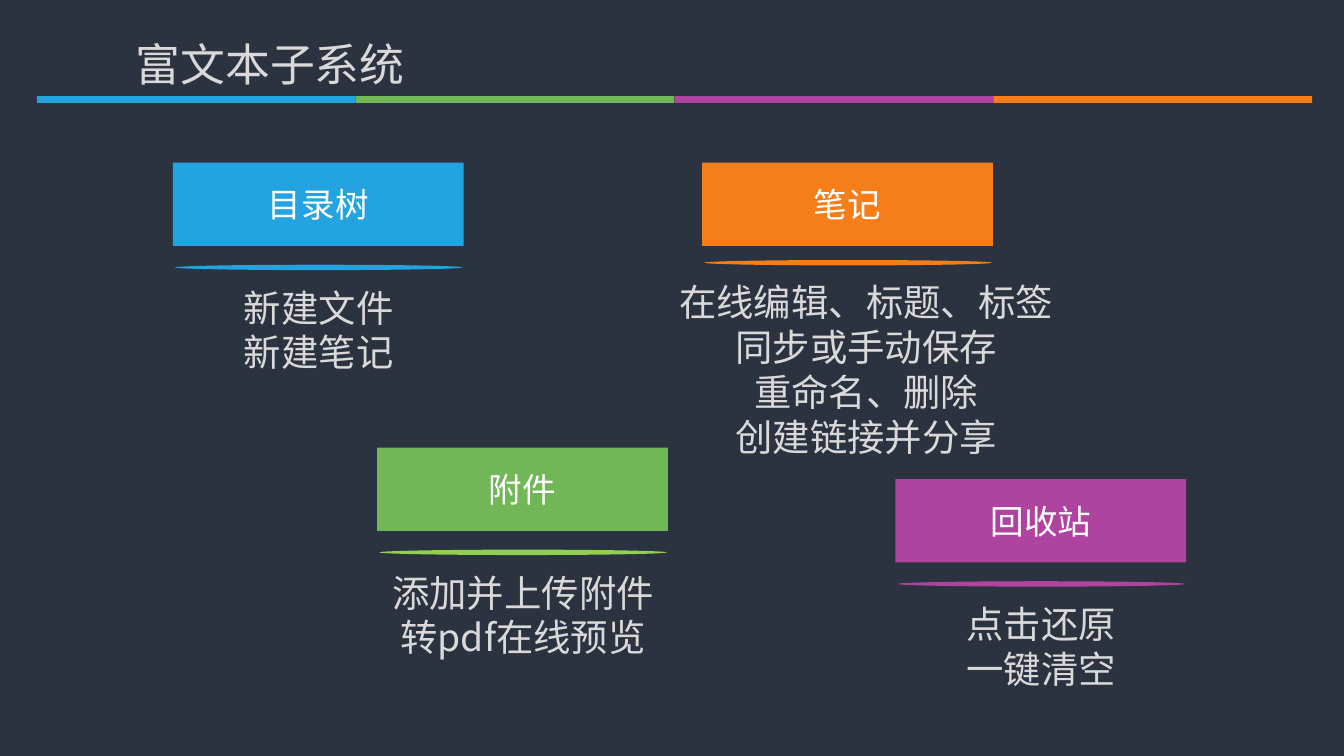
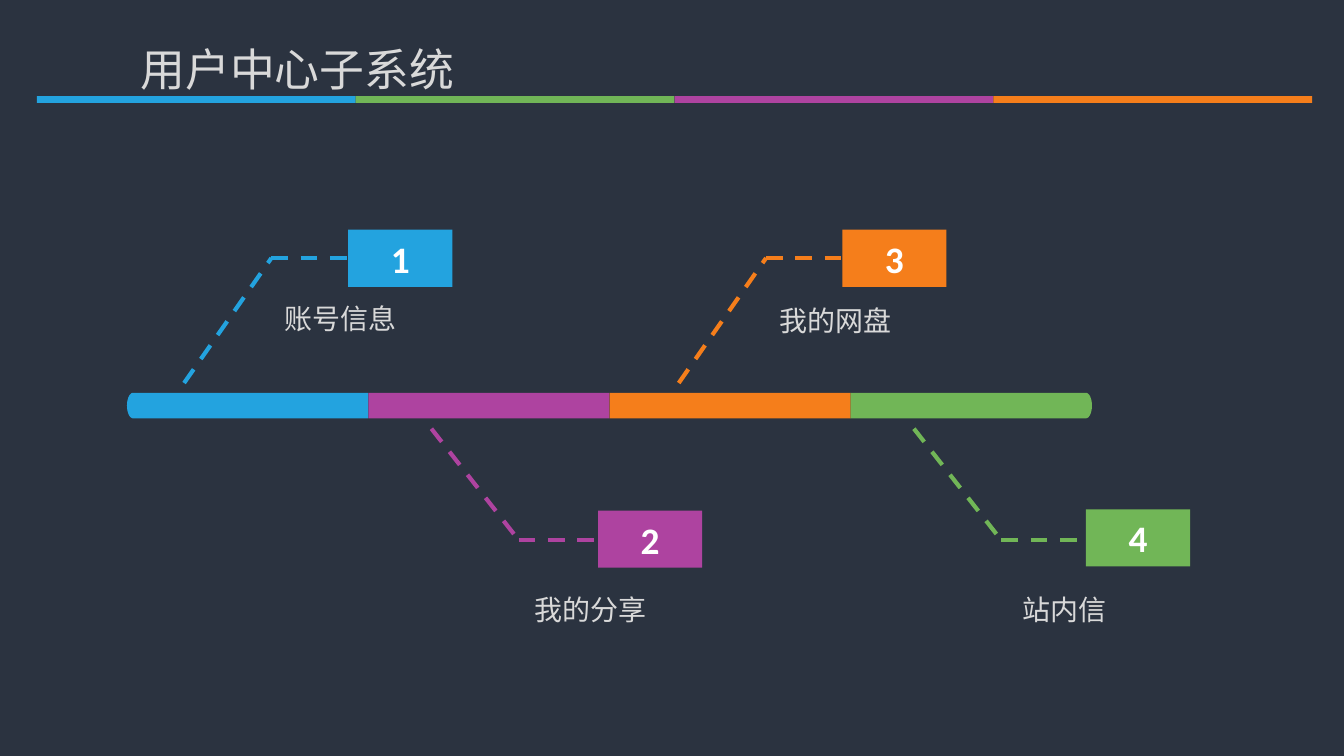
"""Build two slides on the rich text and user centre subsystems."""
import dataclasses
import math

import pptx
import pptx.dml.color
import pptx.enum.dml
import pptx.enum.shapes
import pptx.enum.text
import pptx.oxml.ns
import pptx.util
from lxml import etree

SHAPE = pptx.enum.shapes.MSO_SHAPE
ALIGN = pptx.enum.text.PP_ALIGN
ANCHOR = pptx.enum.text.MSO_ANCHOR
rgb = pptx.dml.color.RGBColor.from_string


@dataclasses.dataclass(frozen=True)
class Theme:
    """Colours, fonts and type sizes of both slides."""
    ground = rgb("2B3340")
    blue = rgb("23A3DF")
    green = rgb("71B657")
    purple = rgb("AE43A0")
    orange = rgb("F57E1B")
    lime = rgb("92D050")
    pale = rgb("D9D9D9")
    white = rgb("FFFFFF")
    cjk = "Noto Sans CJK SC"
    title_font = "Arial"
    number_font = "Calibri"
    title_size = 24
    detail_size = 20
    heading_size = 18
    label_size = 15


theme = Theme()
deck = pptx.Presentation()
deck.slide_width = pptx.util.Inches(10)
deck.slide_height = deck.slide_width * 9 // 16
COLUMN = deck.slide_width // 100


def write(shape, lines, size, color, font=theme.cjk, align=ALIGN.CENTER, bold=False):
    """Fill a shape with one paragraph per line and return its text frame."""
    frame = shape.text_frame
    for index, line in enumerate(lines):
        paragraph = frame.add_paragraph() if index else frame.paragraphs[0]
        paragraph.alignment = align
        run = paragraph.add_run()
        run.text = line
        run.font.size = pptx.util.Pt(size)
        run.font.bold = bold
        run.font.color.rgb = color
        run.font.name = font
        east_asian = etree.SubElement(run._r.get_or_add_rPr(), pptx.oxml.ns.qn("a:ea"))
        east_asian.set("typeface", theme.cjk)
    frame.word_wrap = True
    return frame


def block(slide, kind, color, *box):
    """Add a plain filled shape; the box is left, top, width, height in columns."""
    shape = slide.shapes.add_shape(kind, *(round(v * COLUMN) for v in box))
    shape.shadow.inherit = False
    shape.fill.solid()
    shape.fill.fore_color.rgb = color
    shape.line.fill.background()
    return shape


deck.slide_master.background.fill.solid()
deck.slide_master.background.fill.fore_color.rgb = theme.ground

BAND_WIDTH = 23.72
titles = [("富文本子系统", (9.1, 1.45, 24, 5.8)), ("用户中心子系统", (9.45, 1.8, 26.1, 5.8))]
for wording, box in titles:
    slide = deck.slides.add_slide(deck.slide_layouts[5])
    title = slide.shapes.title
    title.left, title.top, title.width, title.height = (round(v * COLUMN) for v in box)
    frame = write(title, [wording], theme.title_size, theme.pale, theme.title_font, ALIGN.LEFT)
    frame.vertical_anchor = ANCHOR.TOP
    frame.auto_size = pptx.enum.text.MSO_AUTO_SIZE.NONE
    frame.paragraphs[0].line_spacing = 1.2
    for index, color in enumerate((theme.blue, theme.green, theme.purple, theme.orange)):
        block(slide, SHAPE.RECTANGLE, color, 2.75 + index * BAND_WIDTH, 7.15, BAND_WIDTH, 0.5)

rich_text, user_center = deck.slides

features = [
    ("目录树", 12.87, 12.1, theme.blue, theme.blue, 7.6, (-0.3, 8.6, 22.3, 7.2),
     ["新建文件", "新建笔记"]),
    ("笔记", 52.25, 12.1, theme.orange, theme.orange, 7.25, (-3.05, 8.2, 30.5, 10.8),
     ["在线编辑、标题、标签", "同步或手动保存", "重命名、删除", "创建链接并分享"]),
    ("附件", 28.07, 33.3, theme.green, theme.lime, 7.6, (-0.3, 8.6, 22.3, 7.2),
     ["添加并上传附件", "转pdf在线预览"]),
    ("回收站", 66.63, 35.65, theme.purple, theme.purple, 7.6, (-0.3, 8.6, 22.3, 7.2),
     ["点击还原", "一键清空"]),
]
for heading, left, top, color, underline, drop, (dx, dy, width, height), details in features:
    card = block(rich_text, SHAPE.RECTANGLE, color, left, top, 21.63, 6.2)
    write(card, [heading], theme.heading_size, theme.white).vertical_anchor = ANCHOR.MIDDLE
    block(rich_text, SHAPE.OVAL, underline, left + 0.15, top + drop, 21.4, 0.4)
    box = (left + dx, top + dy, width, height)
    detail = rich_text.shapes.add_textbox(*(round(v * COLUMN) for v in box))
    write(detail, details, theme.detail_size, theme.pale)

BAR_LEFT, BAR_TOP, BAR_HEIGHT, SEGMENT = 9.45, 29.23, 1.9, 17.95
CAP = 0.45
for index, color in ((1, theme.purple), (2, theme.orange)):
    block(user_center, SHAPE.RECTANGLE, color, BAR_LEFT + index * SEGMENT, BAR_TOP, SEGMENT, BAR_HEIGHT)

for outer, inward, color in ((BAR_LEFT, 1, theme.blue), (BAR_LEFT + 4 * SEGMENT, -1, theme.green)):
    inner = outer + inward * SEGMENT
    outline = [(inner, BAR_TOP), (inner, BAR_TOP + BAR_HEIGHT)]
    for degrees in range(0, 181, 10):
        angle = math.radians(degrees)
        outline.append((outer + inward * CAP * (1 - math.sin(angle)),
                        BAR_TOP + BAR_HEIGHT / 2 * (1 + math.cos(angle))))
    corners = [(round(x * COLUMN), round(y * COLUMN)) for x, y in outline]
    builder = user_center.shapes.build_freeform(*corners[0])
    builder.add_line_segments(corners[1:], close=True)
    bar_end = builder.convert_to_shape()
    bar_end.shadow.inherit = False
    bar_end.fill.solid()
    bar_end.fill.fore_color.rgb = color
    bar_end.line.fill.background()

ABOVE, BELOW = (28.5, 19.2), (31.9, 40.2)
milestones = [
    ("账号信息", theme.blue, 13.7, ABOVE, (25.9, 17.1), 22.05),
    ("我的分享", theme.purple, 32.1, BELOW, (44.5, 38), 43.7),
    ("我的网盘", theme.orange, 50.5, ABOVE, (62.67, 17.1), 22.2),
    ("站内信", theme.green, 68, BELOW, (80.8, 37.9), 43.7),
]
for number, (wording, color, start, (near, far), (left, top), label_top) in enumerate(milestones, 1):
    bend = start + 6.5
    for ends in ((start, near, bend, far), (bend, far, start + 12.8, far)):
        leader = user_center.shapes.add_connector(
            pptx.enum.shapes.MSO_CONNECTOR.STRAIGHT, *(round(v * COLUMN) for v in ends))
        leader.line.color.rgb = color
        leader.line.width = pptx.util.Pt(2.25)
        leader.line.dash_style = pptx.enum.dml.MSO_LINE.DASH
        etree.SubElement(leader._element.spPr, pptx.oxml.ns.qn("a:effectLst"))
    badge = block(user_center, SHAPE.RECTANGLE, color, left, top, 7.75, 4.25)
    frame = write(badge, [str(number)], theme.detail_size, theme.white, theme.number_font, bold=True)
    frame.vertical_anchor = ANCHOR.MIDDLE
    box = (left - 5.5, label_top, 18.8, 3.3)
    label = user_center.shapes.add_textbox(*(round(v * COLUMN) for v in box))
    frame = write(label, [wording], theme.label_size, theme.pale, align=ALIGN.JUSTIFY)
    frame.margin_left = frame.margin_right = pptx.util.Inches(0.08)
    frame.margin_top = frame.margin_bottom = pptx.util.Inches(0.04)

deck.save("out.pptx")
